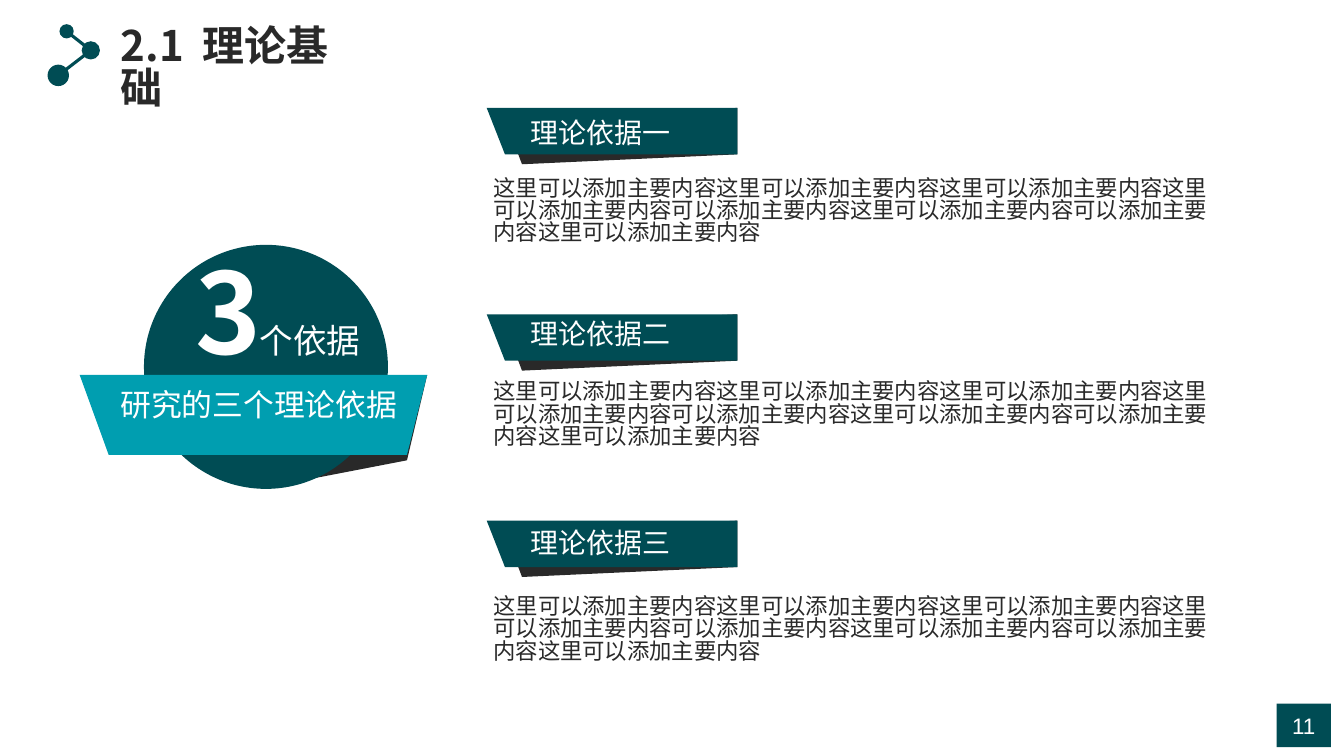
import pptx
import pptx.util
import pptx.dml.color
import pptx.enum.shapes
import pptx.enum.text
import pptx.oxml
import pptx.oxml.ns

Cm = pptx.util.Cm
Pt = pptx.util.Pt
SHAPE = pptx.enum.shapes.MSO_SHAPE
ALIGN = pptx.enum.text.PP_ALIGN
ANCHOR = pptx.enum.text.MSO_ANCHOR

TEAL = pptx.dml.color.RGBColor(0x00, 0x4C, 0x54)
CYAN = pptx.dml.color.RGBColor(0x00, 0x9E, 0xB0)
DARK = pptx.dml.color.RGBColor(0x29, 0x29, 0x29)
WHITE = pptx.dml.color.RGBColor(0xFF, 0xFF, 0xFF)
FONT = "Noto Sans CJK SC"


def paint(sp, color):
    sp.shadow.inherit = False
    sp.fill.solid()
    sp.fill.fore_color.rgb = color
    sp.line.fill.background()


def write(sp, runs, size, color, bold=False):
    tf = sp.text_frame
    tf.word_wrap = True
    tf.auto_size = pptx.enum.text.MSO_AUTO_SIZE.NONE
    tf.vertical_anchor = ANCHOR.TOP
    p = tf.paragraphs[0]
    p.alignment = ALIGN.LEFT
    p.line_spacing = 0.83
    for text in runs:
        r = p.add_run()
        r.text = text
        r.font.size = Pt(size)
        r.font.bold = bold
        r.font.color.rgb = color
        r.font.name = FONT
        ea = pptx.oxml.parse_xml(f'<a:ea {pptx.oxml.ns.nsdecls("a")} typeface="{FONT}"/>')
        r.font._element.append(ea)


prs = pptx.Presentation()
prs.slide_width = Cm(33.88)
prs.slide_height = Cm(19.05)
s = prs.slides.add_slide(prs.slide_layouts[5])

title = s.shapes.title
title.left, title.top, title.width, title.height = Cm(2.79), Cm(0.58), Cm(6.6), Cm(1.52)
write(title, ["2.1", " ", "理论基础"], 30, DARK, True)
title.text_frame.paragraphs[0].runs[1].font._element.set("spc", "670")

nodes = [(1.68, 0.79, 0.18), (2.29, 1.27, 0.23), (1.47, 1.9, 0.27)]
for (x1, y1, _), (x2, y2, _) in zip(nodes, nodes[1:]):
    link = s.shapes.add_connector(pptx.enum.shapes.MSO_CONNECTOR.STRAIGHT, Cm(x1), Cm(y1), Cm(x2), Cm(y2))
    link.line.color.rgb = TEAL
    link.line.width = Pt(2.25)
    link._element.spPr.append(pptx.oxml.parse_xml(f'<a:effectLst {pptx.oxml.ns.nsdecls("a")}/>'))
for x, y, radius in nodes:
    node = s.shapes.add_shape(SHAPE.OVAL, Cm(x - radius), Cm(y - radius), Cm(2 * radius), Cm(2 * radius))
    paint(node, TEAL)

ribbons = [
    ([(7.01, 10.21), (10.77, 9.45), (10.26, 11.6), (7.72, 12.09)], DARK),
    ([(2.01, 9.45), (10.77, 9.45), (10.26, 11.46), (2.74, 11.46)], CYAN),
]
for i in range(3):
    top = 2.72 + 5.2 * i
    ribbons += [
        ([(12.73, top + 0.28), (18.59, top), (18.59, top + 1.17), (13.16, top + 1.42)], DARK),
        ([(12.27, top), (18.59, top), (18.59, top + 1.17), (12.73, top + 1.17)], TEAL),
    ]
for i, (points, color) in enumerate(ribbons):
    if i == 1:
        circle = s.shapes.add_shape(SHAPE.OVAL, Cm(3.63), Cm(6.17), Cm(6.15), Cm(6.15))
        paint(circle, TEAL)
    corners = [(Cm(x), Cm(y)) for x, y in points]
    builder = s.shapes.build_freeform(*corners[0], scale=1.0)
    builder.add_line_segments(corners[1:], close=True)
    paint(builder.convert_to_shape(), color)

content = (
    "这里可以添加主要内容这里可以添加主要内容这里可以添加主要内容"
    "这里可以添加主要内容可以添加主要内容这里可以添加主要内容"
    "可以添加主要内容这里可以添加主要内容"
)
labels = [
    ("3", 4.67, 6.55, 2.5, 3.66, 80, WHITE, True),
    ("个依据", 6.3, 8.1, 3.86, 1.27, 24, WHITE, False),
    ("研究的三个理论依据", 2.79, 9.75, 7.7, 1.2, 22, WHITE, False),
    ("理论依据一", 13.13, 2.92, 4.3, 1.12, 20, WHITE, False),
    ("理论依据二", 13.13, 8.0, 4.3, 1.12, 20, WHITE, False),
    ("理论依据三", 13.13, 13.26, 4.3, 1.12, 20, WHITE, False),
]
labels += [(content, 12.19, top, 18.75, 2.29, 16, DARK, False) for top in (4.37, 9.5, 14.91)]
for text, x, y, w, h, size, color, bold in labels:
    sp = s.shapes.add_textbox(Cm(x), Cm(y), Cm(w), Cm(h))
    write(sp, [text], size, color, bold)

number = s.shapes.add_shape(SHAPE.RECTANGLE, Cm(32.18), Cm(17.73), Cm(1.37), Cm(1.1))
paint(number, TEAL)
tf = number.text_frame
tf.margin_left = tf.margin_right = 0
tf.vertical_anchor = ANCHOR.MIDDLE
p = tf.paragraphs[0]
p.alignment = ALIGN.CENTER
r = p.add_run()
r.text = "11"
r.font.size = Pt(16)
r.font.name = "Arial"
r.font.color.rgb = WHITE

prs.save("out.pptx")
